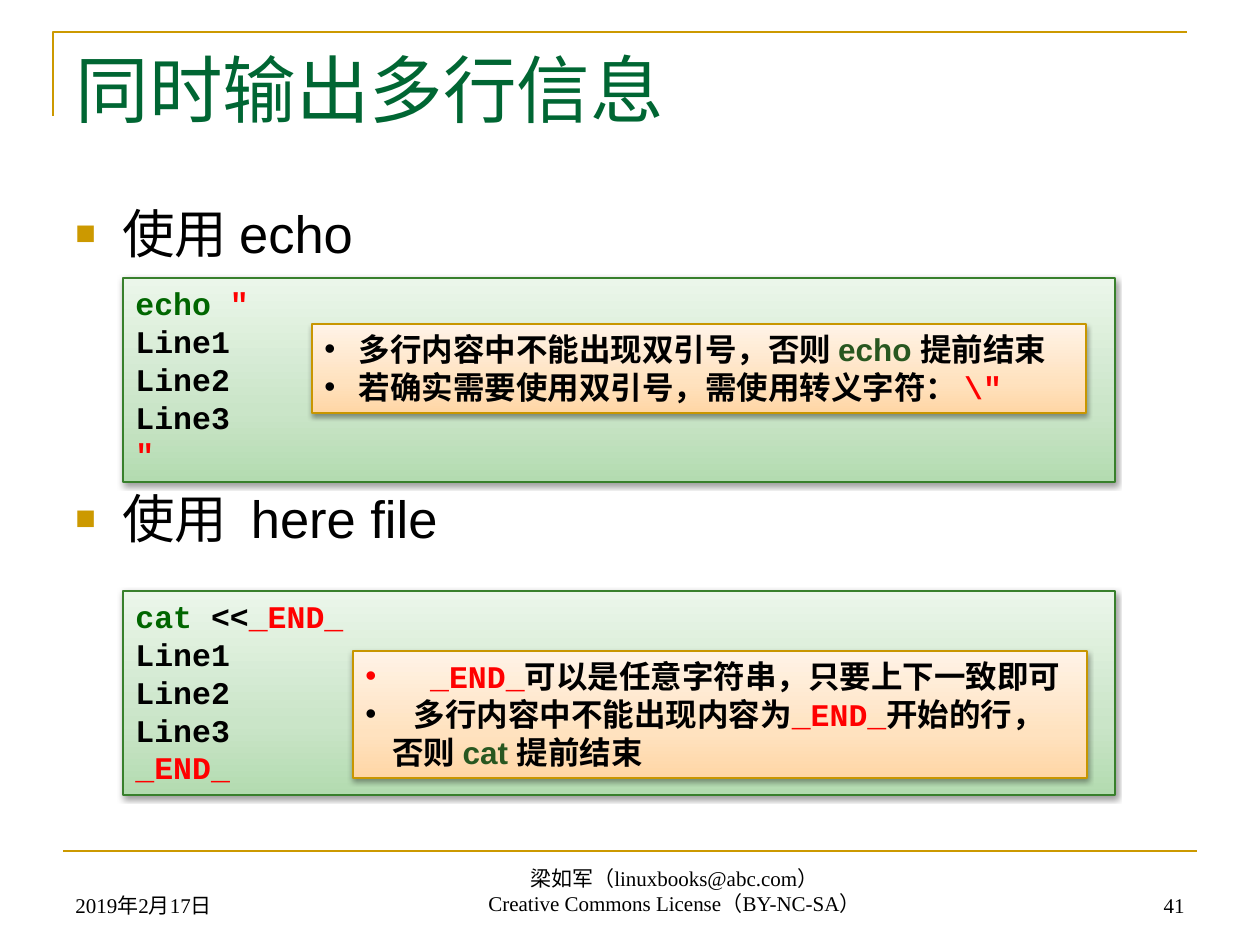
from lxml.etree import SubElement
from pptx import Presentation
from pptx.dml.color import RGBColor
from pptx.enum.shapes import MSO_CONNECTOR, MSO_SHAPE
from pptx.enum.text import MSO_ANCHOR, PP_ALIGN
from pptx.oxml import parse_xml
from pptx.oxml.ns import nsdecls, qn
from pptx.util import Pt

EMU_PER_PX = 914400 / 126
GOLD, BLACK, RED = "CC9900", "000000", "FF0000"
COMMAND, KEYWORD = "006600", "285720"
SANS, MONO, SERIF = "Arial", "Courier New", "Times New Roman"
GREEN_STYLE = (("B3DBB0", "CAE5C8", "EBF6EA"), "38802C")
ORANGE_STYLE = (("FFD6A5", "FFE2BF", "FFF3E7"), "C89600")
LINES = [[(f"Line{number}", BLACK, MONO)] for number in (1, 2, 3)]
ECHO_CODE = [[("echo ", COMMAND, MONO), ('"', RED, MONO)], *LINES, [('"', RED, MONO)]]
HERE_CODE = [
    [("cat", COMMAND, MONO), (" <<", BLACK, MONO), ("_END_", RED, MONO)],
    *LINES,
    [("_END_", RED, MONO)],
]
ECHO_NOTES = [
    [
        (" 多行内容中不能出现双引号，否则 ", BLACK, SANS),
        ("echo ", KEYWORD, SANS),
        ("提前结束", BLACK, SANS),
    ],
    [(" 若确实需要使用双引号，需使用转义字符：", BLACK, SANS), (' \\"', RED, MONO)],
]
HERE_NOTES = [
    [("  _END_", RED, MONO), ("可以是任意字符串，只要上下一致即可", BLACK, SANS)],
    [
        ("   多行内容中不能出现内容为", BLACK, SANS),
        ("_END_", RED, MONO),
        ("开始", BLACK, MONO),
        ("的行，否则 ", BLACK, SANS),
        ("cat ", KEYWORD, SANS),
        ("提前结束", BLACK, SANS),
    ],
]


def px(length):
    """Turn pixels into EMU."""
    return round(length * EMU_PER_PX)


def color(value):
    """Turn a hex string into a colour."""
    return RGBColor.from_string(value)


def write(frame, paragraphs, size, bold=False, align=PP_ALIGN.LEFT):
    """Fill a text frame from paragraphs of (text, colour, font) runs."""
    frame.word_wrap = True
    for index, runs in enumerate(paragraphs):
        paragraph = frame.add_paragraph() if index else frame.paragraphs[0]
        paragraph.alignment = align
        for text, ink, font in runs:
            run = paragraph.add_run()
            run.text = text
            run.font.size = Pt(size)
            run.font.bold = bold
            run.font.name = font
            run.font.color.rgb = color(ink)


def add_bullet(paragraph, char, indent, ink=None, percent=100):
    """Give a paragraph a hanging bullet."""
    properties = paragraph._p.get_or_add_pPr()
    properties.set("marL", str(px(indent)))
    properties.set("indent", str(-px(indent)))
    if ink:
        SubElement(SubElement(properties, qn("a:buClr")), qn("a:srgbClr"), val=ink)
    SubElement(properties, qn("a:buSzPct"), val=str(percent * 1000))
    SubElement(properties, qn("a:buFont"), typeface=SANS)
    SubElement(properties, qn("a:buChar"), char=char)


def add_panel(slide, box, style, paragraphs):
    """Add a shaded panel with a soft shadow and bold text."""
    stops, border = style
    panel = slide.shapes.add_shape(MSO_SHAPE.RECTANGLE, *map(px, box))
    panel.shadow.inherit = False
    panel.line.color.rgb = color(border)
    panel.line.width = Pt(0.75)
    properties = panel._element.spPr
    stop_list = "".join(
        f'<a:gs pos="{position * 1000}"><a:srgbClr val="{stop}"/></a:gs>'
        for position, stop in zip((0, 35, 100), stops)
    )
    properties.find(qn("a:prstGeom")).addnext(parse_xml(
        f'<a:gradFill {nsdecls("a")} rotWithShape="1"><a:gsLst>{stop_list}</a:gsLst>'
        '<a:lin ang="16200000" scaled="0"/></a:gradFill>'
    ))
    properties.find(qn("a:effectLst")).append(parse_xml(
        f'<a:outerShdw {nsdecls("a")} blurRad="40000" dist="20000" dir="5400000" '
        'rotWithShape="0"><a:srgbClr val="000000"><a:alpha val="38000"/>'
        '</a:srgbClr></a:outerShdw>'
    ))
    panel.text_frame.vertical_anchor = MSO_ANCHOR.TOP
    write(panel.text_frame, paragraphs, 18, bold=True)
    return panel


def add_notes(slide, box, paragraphs):
    """Add an orange panel of bulleted remarks."""
    notes = add_panel(slide, box, ORANGE_STYLE, paragraphs)
    for paragraph in notes.text_frame.paragraphs:
        add_bullet(paragraph, "•", 27)


def add_rules(slide):
    """Draw the corner frame and the footer rule."""
    builder = slide.shapes.build_freeform(px(53), px(116))
    builder.add_line_segments([(px(53), px(32)), (px(1187), px(32))], close=False)
    corner = builder.convert_to_shape()
    corner.shadow.inherit = False
    corner.fill.background()
    footer_rule = slide.shapes.add_connector(
        MSO_CONNECTOR.STRAIGHT, px(63), px(851), px(1197), px(851)
    )
    SubElement(footer_rule._element.spPr, qn("a:effectLst"))
    for rule in (corner, footer_rule):
        rule.line.color.rgb = color(GOLD)
        rule.line.width = Pt(1.5)


def add_title(slide, text):
    """Place and format the title placeholder."""
    title = slide.shapes.title
    title.left, title.top, title.width, title.height = map(px, (63, 38, 1134, 158))
    title.text_frame.vertical_anchor = MSO_ANCHOR.TOP
    write(title.text_frame, [[(text, "006633", SERIF)]], 42)


def add_topics(slide, topics):
    """Add the two main bullets, spaced to leave room for the code."""
    frame = slide.shapes.add_textbox(*map(px, (63, 195, 1134, 650))).text_frame
    write(frame, [[(topic, BLACK, SANS)] for topic in topics], 30)
    for paragraph in frame.paragraphs:
        add_bullet(paragraph, "■", 47, GOLD, 65)
    frame.paragraphs[1].space_before = Pt(127)


def add_footer(slide, box, lines, align):
    """Add one bottom-aligned footer text."""
    frame = slide.shapes.add_textbox(*map(px, box)).text_frame
    frame.vertical_anchor = MSO_ANCHOR.BOTTOM
    write(frame, [[(line, BLACK, SERIF)] for line in lines], 12, align=align)


def main():
    """Build the slide and save it."""
    deck = Presentation()
    deck.slide_width, deck.slide_height = px(1260), px(945)
    slide = deck.slides.add_slide(deck.slide_layouts[5])
    add_rules(slide)
    add_title(slide, "同时输出多行信息")
    add_topics(slide, ["使用 echo", "使用  here file"])
    add_footer(slide, (63, 861, 294, 63), ["2019年2月17日"], PP_ALIGN.LEFT)
    credit = ["梁如军（linuxbooks@abc.com）", "Creative Commons License（BY-NC-SA）"]
    add_footer(slide, (302, 859, 745, 63), credit, PP_ALIGN.CENTER)
    add_footer(slide, (903, 861, 294, 63), ["41"], PP_ALIGN.RIGHT)
    add_panel(slide, (123, 278, 992, 204), GREEN_STYLE, ECHO_CODE)
    add_panel(slide, (123, 591, 992, 204), GREEN_STYLE, HERE_CODE)
    add_notes(slide, (312, 324, 774, 89), ECHO_NOTES)
    add_notes(slide, (353, 651, 734, 127), HERE_NOTES)
    deck.save("out.pptx")


if __name__ == "__main__":
    main()
